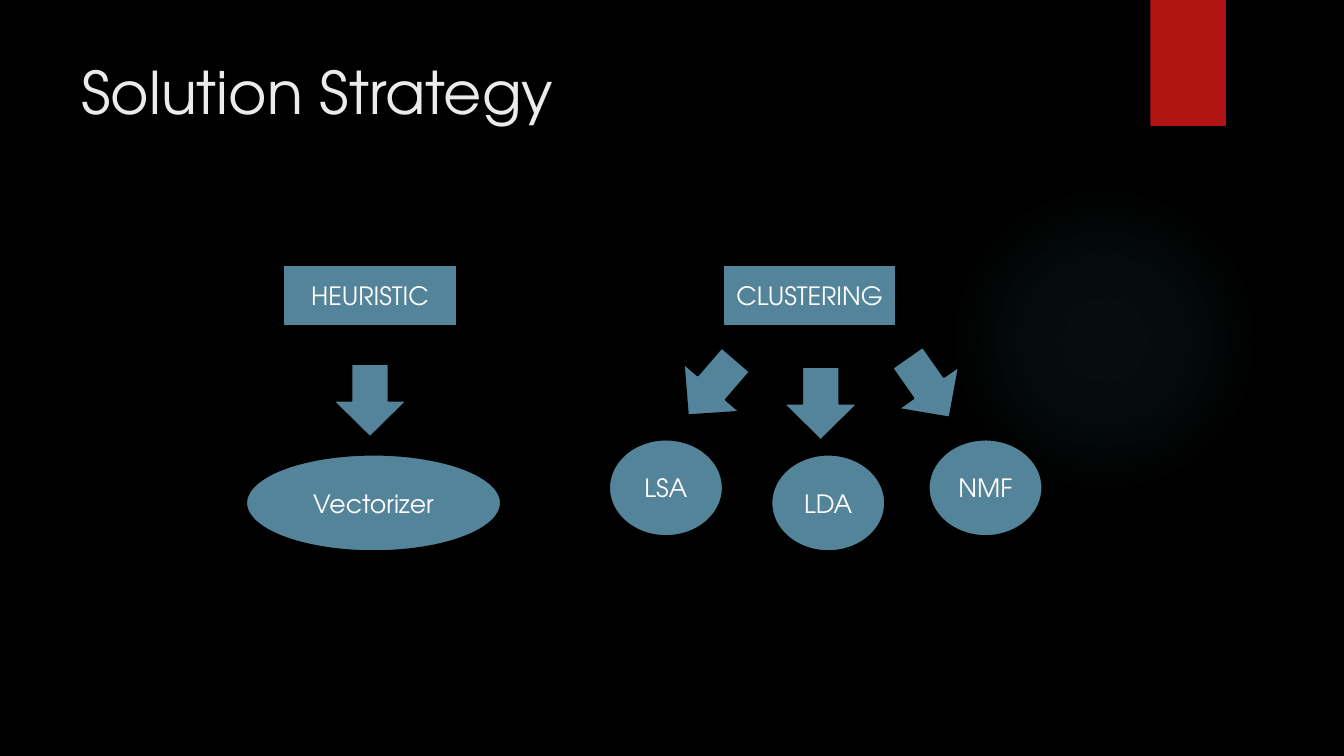
import pptx
import pptx.util
import pptx.oxml
import pptx.oxml.ns
import pptx.dml.color
import pptx.enum.shapes
import pptx.enum.text
from dataclasses import dataclass

Inches = pptx.util.Inches
Kind = pptx.enum.shapes.MSO_SHAPE


@dataclass(frozen=True)
class Theme:
    font: str = "TeX Gyre Adventor"
    back: str = "000000"
    node: str = "54849A"
    ribbon: str = "B01513"
    glow: str = "50B9C1"
    title: str = "EBEBEB"
    label: str = "FFFFFF"
    big: int = 42
    small: int = 18
    edge: float = 1.5


theme = Theme()

# Content: left and top in inches
title = "Solution Strategy"
heads = [("HEURISTIC", 2.81, 2.63), ("CLUSTERING", 7.17, 2.63)]
arrows = [(3.3, 3.61, 0), (6.69, 3.48, 40.8), (7.77, 3.64, 0), (8.84, 3.48, 325)]
methods = [("Vectorizer", 2.44, 4.51, 2.53), ("LSA", 6.04, 4.36, 1.13),
           ("LDA", 7.65, 4.51, 1.13), ("NMF", 9.21, 4.36, 1.13)]
glow = [(0, 7), (36, 6), (69, 0)]  # stop and opacity, percent

head_size = (1.72, 0.61)
arrow_size = (0.74, 0.73)
oval_high = 0.96


def rgb(code):
    return pptx.dml.color.RGBColor.from_string(code)


def write(frame, text, size, color):
    run = frame.paragraphs[0].add_run()
    run.text = text
    run.font.name = theme.font
    run.font.size = pptx.util.Pt(size)
    run.font.color.rgb = rgb(color)


def draw(kind, box, fill, edge=None):
    shape = slide.shapes.add_shape(kind, *map(Inches, box))
    shape.shadow.inherit = False
    shape.fill.solid()
    shape.fill.fore_color.rgb = rgb(fill)
    if edge:
        shape.line.color.rgb = rgb(edge)
        shape.line.width = pptx.util.Pt(theme.edge)
    else:
        shape.line.fill.background()
    return shape


def node(kind, box, text=""):
    shape = draw(kind, box, theme.node, theme.back)
    if text:
        frame = shape.text_frame
        frame.word_wrap = True
        frame.vertical_anchor = pptx.enum.text.MSO_ANCHOR.MIDDLE
        frame.paragraphs[0].alignment = pptx.enum.text.PP_ALIGN.CENTER
        write(frame, text, theme.small, theme.label)
    return shape


def shine(shape):
    """Swap the solid fill for a fading radial gradient."""
    stops = "".join(
        f'<a:gs pos="{pos * 1000}"><a:srgbClr val="{theme.glow}">'
        f'<a:alpha val="{alpha * 1000}"/></a:srgbClr></a:gs>'
        for pos, alpha in glow)
    grad = pptx.oxml.parse_xml(
        f'<a:gradFill {pptx.oxml.ns.nsdecls("a")}><a:gsLst>{stops}</a:gsLst>'
        '<a:path path="circle"><a:fillToRect l="50000" t="50000" r="50000" '
        'b="50000"/></a:path></a:gradFill>')
    props = shape._element.spPr
    props.replace(props.find(pptx.oxml.ns.qn("a:solidFill")), grad)


deck = pptx.Presentation()
deck.slide_width, deck.slide_height = Inches(13.33), Inches(7.5)
slide = deck.slides.add_slide(deck.slide_layouts[6])
slide.background.fill.solid()
slide.background.fill.fore_color.rgb = rgb(theme.back)

shine(draw(Kind.OVAL, (9.41, 1.83, 3.08, 3.08), theme.glow))
draw(Kind.RECTANGLE, (11.41, 0, 0.75, 1.25), theme.ribbon)

frame = slide.shapes.add_textbox(*map(Inches, (0.71, 0.5, 10.29, 1.53))).text_frame
frame.word_wrap = True
write(frame, title, theme.big, theme.title)

for text, left, top in heads:
    node(Kind.RECTANGLE, (left, top, *head_size), text)
for left, top, turn in arrows:
    node(Kind.DOWN_ARROW, (left, top, *arrow_size)).rotation = turn
for text, left, top, wide in methods:
    node(Kind.OVAL, (left, top, wide, oval_high), text)

deck.save("out.pptx")
